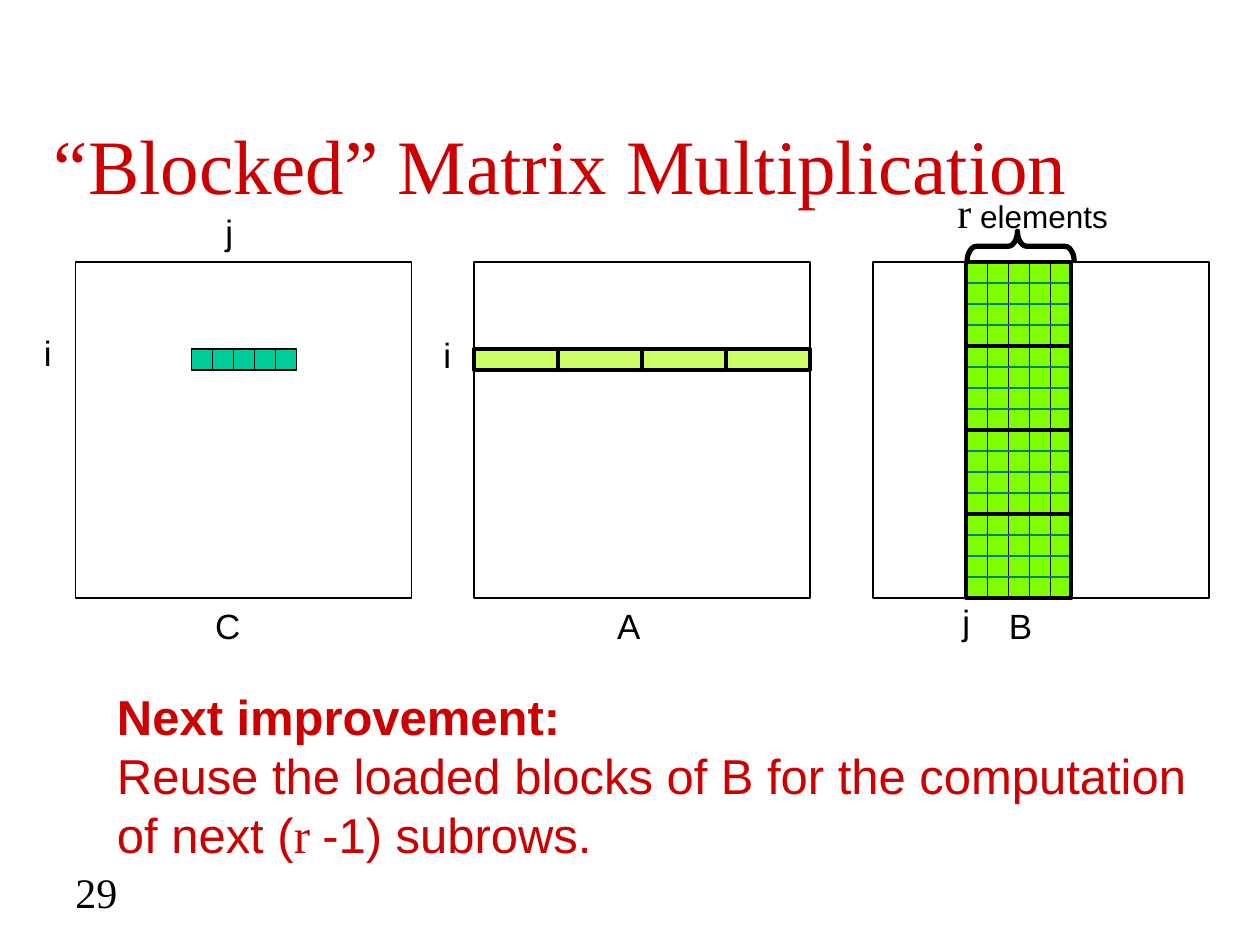
from pptx import Presentation
from pptx.dml.color import RGBColor
from pptx.enum.shapes import MSO_SHAPE
from pptx.enum.text import MSO_ANCHOR
from pptx.util import Inches, Pt

SANS, SERIF = "Arial", "Times New Roman"
BLACK, RED = "000000", "CC0000"
SIDE = 8 / 3          # side of a matrix
CELL = SIDE / 16      # one element
BLOCK = SIDE / 4      # four elements
BLOCK_WIDTH = 5 * CELL
TOP = 2.08
ROW_TOP = 2.77        # row i


def color(value):
    return RGBColor.from_string(value)


def add_outline(page, left, top, width, height, fill=None, line=BLACK, weight=1.0,
                kind=MSO_SHAPE.RECTANGLE):
    shape = page.shapes.add_shape(kind, Inches(left), Inches(top),
                                  Inches(width), Inches(height))
    shape.shadow.inherit = False
    if fill:
        shape.fill.solid()
        shape.fill.fore_color.rgb = color(fill)
    else:
        shape.fill.background()
    shape.line.color.rgb = color(line)
    shape.line.width = Pt(weight)
    return shape


def add_grid(page, left, top, columns, rows, width, height, **style):
    for row in range(rows):
        for column in range(columns):
            add_outline(page, left + column * width, top + row * height,
                        width, height, **style)


def add_text(page, left, top, width, height, lines, wrap=False, anchor=MSO_ANCHOR.TOP):
    """Each line is a list of (text, font values) spans."""
    box = page.shapes.add_textbox(Inches(left), Inches(top), Inches(width), Inches(height))
    frame = box.text_frame
    frame.word_wrap = wrap
    frame.vertical_anchor = anchor
    para = frame.paragraphs[0]
    for index, spans in enumerate(lines):
        if index:
            para.add_line_break()
        for text, values in spans:
            span = para.add_run()
            span.text = text
            style = {"name": SANS, "size": Pt(20), "color": BLACK} | values
            span.font.color.rgb = color(style.pop("color"))
            for name, value in style.items():
                setattr(span.font, name, value)


def add_label(page, left, top, text):
    add_text(page, left, top, 0.4, 0.44, [[(text, {})]])


def add_title(page, left, top, width, height):
    style = {"name": SERIF, "size": Pt(44), "color": RED}
    add_text(page, left, top, width, height, [[("“Blocked” Matrix Multiplication", style)]],
             wrap=True, anchor=MSO_ANCHOR.MIDDLE)


def add_matrix_c(page, left, top):
    add_outline(page, left, top, SIDE, SIDE)
    add_grid(page, left + 0.92, ROW_TOP, 5, 1, CELL, CELL, fill="00CC99")
    add_label(page, left - 0.35, 2.58, "i")
    add_label(page, left + 1.09, 1.62, "j")
    add_label(page, left + 1.01, top + SIDE, "C")


def add_matrix_a(page, left, top):
    add_outline(page, left, top, SIDE, SIDE)
    add_grid(page, left, ROW_TOP, 4, 1, BLOCK, CELL, fill="CCFF66", weight=2.25)
    add_label(page, left - 0.34, 2.6, "i")
    add_label(page, left + 1.04, top + SIDE, "A")


def add_matrix_b(page, left, top):
    add_outline(page, left, top, SIDE, SIDE)
    blocks_left = left + 0.74
    # Columns, element rows and heavy block frames
    add_grid(page, blocks_left, top, 5, 1, CELL, SIDE, fill="80FF00", weight=0.75)
    add_grid(page, blocks_left, top, 1, 16, BLOCK_WIDTH, CELL, line="008080", weight=0.75)
    add_grid(page, blocks_left, top, 1, 4, BLOCK_WIDTH, BLOCK, weight=2.25)
    # Brace over the block columns
    brace = add_outline(page, blocks_left + 0.31, top - 0.55, 0.24, 0.85, weight=3,
                        kind=MSO_SHAPE.LEFT_BRACE)
    brace.rotation = 90
    brace.adjustments[0] = 0.31
    brace.adjustments[1] = 0.53
    add_text(page, left + 0.57, top - 0.65, 1.7, 0.5,
             [[("r", {"name": SERIF, "size": Pt(24)}), (" elements", {"size": Pt(18)})]])
    add_label(page, left + 0.61, top + SIDE - 0.03, "j")
    add_label(page, left + 0.98, top + SIDE, "B")


def add_conclusion(page, left, top, width, height):
    plain = {"size": Pt(28), "color": RED}
    add_text(page, left, top, width, height, [
        [("Next improvement:", plain | {"bold": True})],
        [("Reuse the loaded blocks of B for the computation of next (", plain),
         ("r ", plain | {"name": SERIF}),
         ("-1) subrows.", plain)],
    ], wrap=True)


def add_page_number(page, left, top, width, height):
    add_text(page, left, top, width, height,
             [[("29", {"name": SERIF, "size": Pt(24)})]], wrap=True)


def main():
    deck = Presentation()
    deck.slide_width, deck.slide_height = Inches(10), Inches(7.5)
    page = deck.slides.add_slide(deck.slide_layouts[6])
    add_title(page, 0.33, 0.67, 8.5, 1.25)
    add_matrix_c(page, 0.6, TOP)
    add_matrix_a(page, 3.76, TOP)
    add_matrix_b(page, 6.93, TOP)
    add_conclusion(page, 0.83, 5.4, 8.92, 1.5)
    add_page_number(page, 0.5, 6.83, 2.33, 0.52)
    deck.save("out.pptx")


if __name__ == "__main__":
    main()
